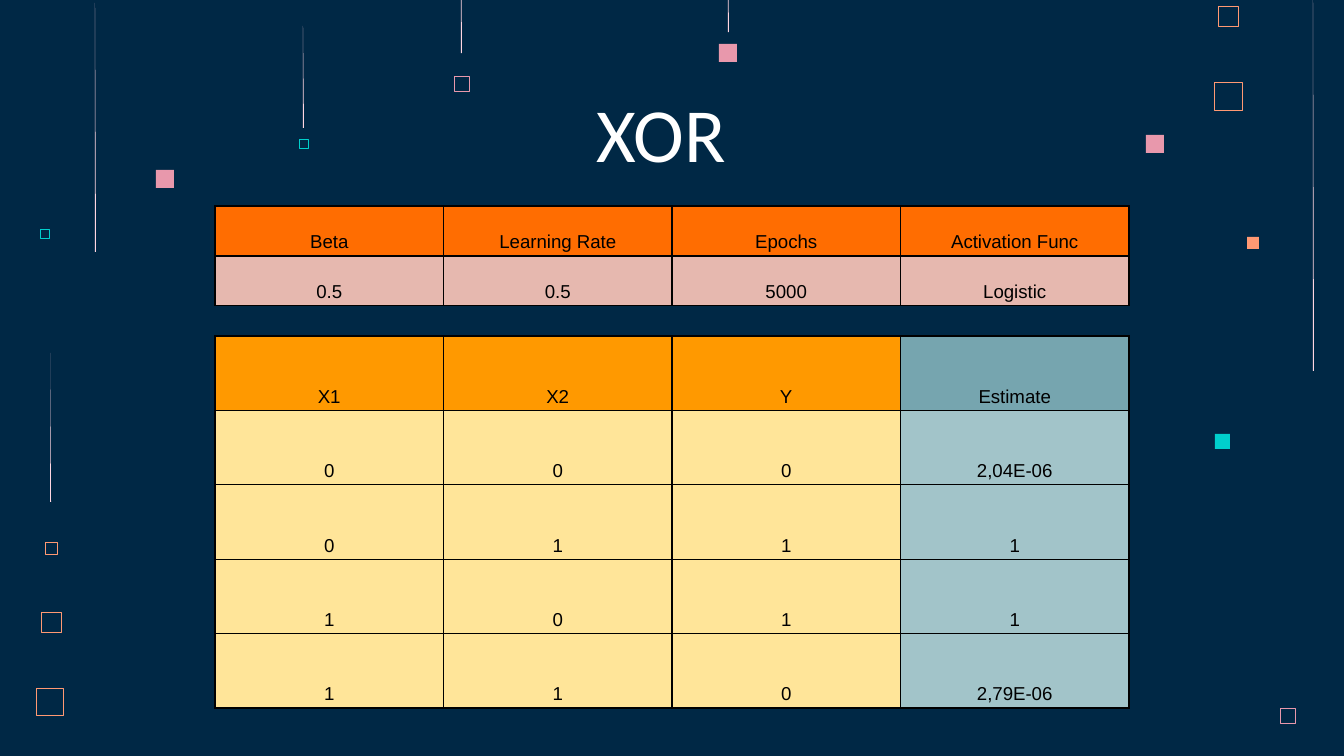
from lxml.etree import SubElement
from pptx import Presentation
from pptx.dml.color import RGBColor
from pptx.enum.shapes import MSO_SHAPE
from pptx.enum.text import MSO_ANCHOR, PP_ALIGN
from pptx.oxml.ns import qn
from pptx.util import Pt

PX = 914400 / 134.4
NAVY = RGBColor(0x00, 0x28, 0x45)
PINK = RGBColor(0xE8, 0x98, 0xAC)
PALE_PINK = RGBColor(0xFF, 0xD6, 0xE1)
TEAL = RGBColor(0x00, 0xCF, 0xCC)
CORAL = RGBColor(0xFF, 0x99, 0x73)
ORANGE = RGBColor(0xFF, 0x6D, 0x01)
ROSE = RGBColor(0xE6, 0xB8, 0xAF)
AMBER = RGBColor(0xFF, 0x99, 0x00)
CREAM = RGBColor(0xFF, 0xE5, 0x99)
SLATE = RGBColor(0x76, 0xA5, 0xAF)
MIST = RGBColor(0xA2, 0xC4, 0xC9)
BLACK = RGBColor(0x00, 0x00, 0x00)
WHITE = RGBColor(0xFF, 0xFF, 0xFF)

FILLED_SQUARES = [
    (156, 170, 18, PINK), (1146, 135, 18, PINK), (719, 44, 18, PINK),
    (1215, 434, 15, TEAL), (1247, 237, 12, CORAL),
]
OUTLINED_SQUARES = [
    (1280, 708, 15, PINK, 0.23), (454, 76, 15, PINK, 0.23),
    (40, 229, 9, TEAL, 0.23), (299, 139, 9, TEAL, 0.23),
    (1214, 82, 28, CORAL, 0.45), (1218, 6, 20, CORAL, 0.32),
    (36, 688, 28, CORAL, 0.45), (41, 612, 20, CORAL, 0.32),
    (45, 542, 12, CORAL, 0.2),
]
STREAKS = [
    (461, -78, 131), (728, -50, 82), (50, 353, 149),
    (1313, 0, 371), (95, 3, 249), (303, 26, 102),
]
SETTINGS = [
    ["Beta", "Learning Rate", "Epochs", "Activation Func"],
    ["0.5", "0.5", "5000", "Logistic"],
]
RESULTS = [
    ["X1", "X2", "Y", "Estimate"],
    ["0", "0", "0", "2,04E-06"],
    ["0", "1", "1", "1"],
    ["1", "0", "1", "1"],
    ["1", "1", "0", "2,79E-06"],
]


def px(length):
    """Turn pixels into EMU."""
    return round(length * PX)


def write_text(text_frame, text, *, font, size, color, align=PP_ALIGN.LEFT, spacing=1.0):
    """Write one formatted paragraph into a text frame."""
    paragraph = text_frame.paragraphs[0]
    paragraph.alignment = align
    paragraph.line_spacing = spacing
    run = paragraph.add_run()
    run.text = text
    run.font.name = font
    run.font.size = Pt(size)
    run.font.color.rgb = color


def add_square(slide, left, top, size, color, line_width=None):
    """Add a filled square, or an outlined one when a line width is given."""
    shape = slide.shapes.add_shape(MSO_SHAPE.RECTANGLE, px(left), px(top), px(size), px(size))
    shape.shadow.inherit = False
    if line_width is None:
        shape.fill.solid()
        shape.fill.fore_color.rgb = color
        shape.line.fill.background()
    else:
        shape.fill.background()
        shape.line.color.rgb = color
        shape.line.width = Pt(line_width)


def add_streak(slide, left, top, height):
    """Add a thin wedge that widens downwards to one pixel."""
    builder = slide.shapes.build_freeform(left, top, scale=PX)
    builder.add_line_segments([(left, top + height), (left + 1, top + height)], close=True)
    shape = builder.convert_to_shape()
    shape.shadow.inherit = False
    shape.fill.solid()
    shape.fill.fore_color.rgb = PALE_PINK
    shape.line.fill.background()


def add_decoration(slide):
    """Scatter the squares and streaks around the slide."""
    for square in FILLED_SQUARES + OUTLINED_SQUARES:
        add_square(slide, *square)
    for streak in STREAKS:
        add_streak(slide, *streak)


def add_borders(cell):
    """Draw thin black lines on all four sides of a cell."""
    properties = cell._tc.get_or_add_tcPr()
    for side in ("lnL", "lnR", "lnT", "lnB"):
        line = SubElement(properties, qn(f"a:{side}"), w=str(Pt(0.75)))
        fill = SubElement(line, qn("a:solidFill"))
        SubElement(fill, qn("a:srgbClr"), val=str(BLACK))


def add_grid(slide, left, top, width, height, rows, header_colors, body_colors):
    """Add a bordered table with one fill per column for header and body."""
    row_count, column_count = len(rows), len(rows[0])
    frame = slide.shapes.add_table(
        row_count, column_count, px(left), px(top), px(width), px(height))
    table = frame.table
    table.first_row = table.horz_banding = False
    for column in table.columns:
        column.width = px(width / column_count)
    for row_index, values in enumerate(rows):
        table.rows[row_index].height = px(height / row_count)
        colors = body_colors if row_index else header_colors
        for column_index, (value, color) in enumerate(zip(values, colors)):
            cell = table.cell(row_index, column_index)
            add_borders(cell)
            cell.fill.solid()
            cell.fill.fore_color.rgb = color
            cell.vertical_anchor = MSO_ANCHOR.BOTTOM
            cell.margin_left = cell.margin_right = px(4)
            cell.margin_top = cell.margin_bottom = px(3)
            write_text(cell.text_frame, value, font="Arial", size=10, color=BLACK,
                       align=PP_ALIGN.CENTER, spacing=1.15)


def add_title(slide, left, top, width, height, text):
    """Add the slide title."""
    box = slide.shapes.add_textbox(px(left), px(top), px(width), px(height))
    text_frame = box.text_frame
    text_frame.word_wrap = True
    text_frame.margin_left = text_frame.margin_right = px(13)
    text_frame.margin_top = text_frame.margin_bottom = px(13)
    write_text(text_frame, text, font="Calibri", size=41, color=WHITE)


def main():
    """Build the slide and save it."""
    presentation = Presentation()
    presentation.slide_width, presentation.slide_height = px(1344), px(756)
    slide = presentation.slides.add_slide(presentation.slide_layouts[6])
    slide.background.fill.solid()
    slide.background.fill.fore_color.rgb = NAVY
    add_decoration(slide)
    add_grid(slide, 215, 336, 914, 372, RESULTS, [AMBER] * 3 + [SLATE], [CREAM] * 3 + [MIST])
    add_grid(slide, 215, 206, 914, 100, SETTINGS, [ORANGE] * 4, [ROSE] * 4)
    add_title(slide, 583, 73, 177, 113, "XOR")
    presentation.save("out.pptx")


if __name__ == "__main__":
    main()
